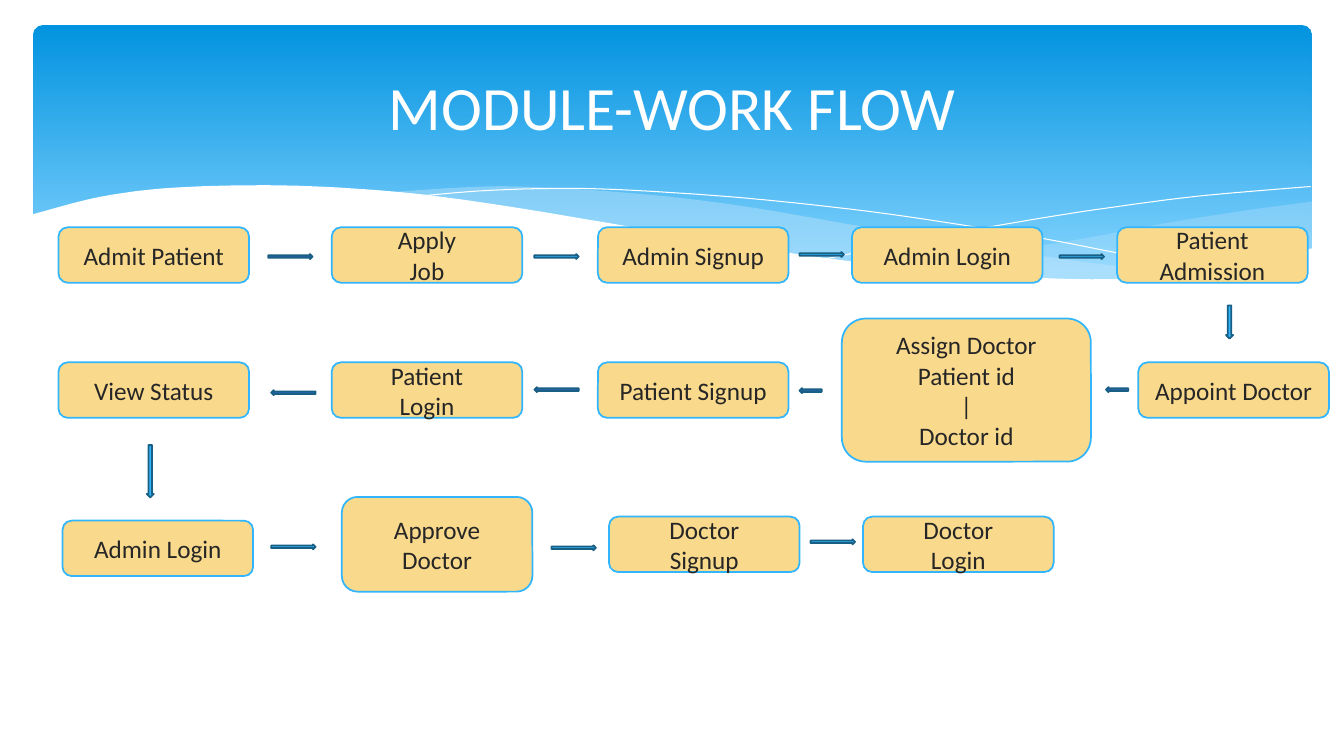
"""Build the module work flow slide: a wave banner above a snaking chain of steps."""
from pptx import Presentation
from pptx.dml.color import RGBColor
from pptx.enum.shapes import MSO_SHAPE
from pptx.enum.text import MSO_ANCHOR, PP_ALIGN
from pptx.oxml.ns import qn
from pptx.util import Inches, Pt
from lxml import etree

WHITE, INK = "FFFFFF", "262626"
SKY, PALE_SKY, DEEP_SKY, MIST = "31B6FD", "83D3FE", "0293E0", "C6E7FC"
SAND, NAVY, TEAL = "F9D98C", "2862AA", "195F84"


def rgb(hex_colour):
    """Turn a hex string into a colour."""
    return RGBColor.from_string(hex_colour)


def write(shape, text, size=18, colour=INK):
    """Write centred lines of text into a shape."""
    frame = shape.text_frame
    frame.word_wrap = True
    frame.vertical_anchor = MSO_ANCHOR.MIDDLE
    frame.text = text
    for paragraph in frame.paragraphs:
        paragraph.alignment = PP_ALIGN.CENTER
        paragraph.font.name = "Calibri"
        paragraph.font.size = Pt(size)
        paragraph.font.color.rgb = rgb(colour)


prs = Presentation()
prs.slide_width, prs.slide_height = Inches(13.33), Inches(7.5)
shapes = prs.slides.add_slide(prs.slide_layouts[6]).shapes

banner = shapes.add_shape(MSO_SHAPE.ROUNDED_RECTANGLE, Inches(0.33), Inches(0.25),
                          Inches(12.68), Inches(2.7))
banner.adjustments[0] = 0.034
banner.shadow.inherit = False
banner.line.fill.background()
banner.fill.gradient()
banner.fill.gradient_angle = 270
for stop, position, colour in zip(banner.fill.gradient_stops, (0, 0.9), (DEEP_SKY, PALE_SKY)):
    stop.position = position
    stop.color.rgb = rgb(colour)

right_top = [(13.01, 2), (12.27, 2.1), (11.47, 2.23), (10.73, 2.37), (9.72, 2.53), (8.82, 2.65)]
right_bottom = [(8.82, 2.65), (9.76, 2.74), (10.71, 2.78), (11.51, 2.75), (12.28, 2.65),
                (13.01, 2.47)]
middle_top = [(11.9, 2.73), (10.76, 2.6), (9.41, 2.4), (8.39, 2.22), (7.4, 2.05), (6.52, 1.94),
              (5.6, 1.87), (4.82, 1.85), (3.82, 1.91)]
middle_bottom = [(3.82, 1.91), (4.83, 2.03), (5.99, 2.22), (7.06, 2.4), (8.02, 2.55),
                 (9.07, 2.68), (9.98, 2.76), (10.9, 2.78), (11.9, 2.73)]
falling_line = [(4.12, 1.95), (4.84, 1.89), (5.77, 1.87), (6.8, 1.92), (7.75, 2), (8.86, 2.13),
                (10.14, 2.33), (11.08, 2.51), (12.1, 2.72)]
rising_line = [(8.18, 2.57), (9.27, 2.35), (10.35, 2.16), (11.15, 2.04), (11.94, 1.94),
               (13, 1.85)]
white_crest = [(13.03, 2.46), (11.98, 2.69), (10.97, 2.77), (9.69, 2.72), (8.34, 2.58),
               (7.06, 2.39), (5.96, 2.2), (4.86, 2.02), (3.9, 1.9), (2.82, 1.84), (1.76, 1.86),
               (1.01, 1.95), (0.31, 2.13)]
white_floor = [(0.31, 3.29), (13.03, 3.29)]

waves = [
    ([right_top, right_bottom], MIST, 29),
    ([middle_top, middle_bottom], MIST, 40),
    ([falling_line], None, 100),
    ([rising_line], None, 100),
    ([white_crest, white_floor], WHITE, 100),
]
units_per_inch, pieces = 1000, 8
for edges, fill, opacity in waves:
    outline = []
    for knots in edges:
        padded = [knots[0], *knots, knots[-1]]
        outline.append(knots[0])
        for before, start, end, after in zip(padded, padded[1:], padded[2:], padded[3:]):
            for piece in range(1, pieces + 1):
                t = piece / pieces
                outline.append([
                    b + ((c - a) * t + (2 * a - 5 * b + 4 * c - d) * t ** 2
                         + (3 * b - a - 3 * c + d) * t ** 3) / 2
                    for a, b, c, d in zip(before, start, end, after)])
    outline = [(round(x * units_per_inch), round(y * units_per_inch)) for x, y in outline]
    builder = shapes.build_freeform(*outline[0], scale=Inches(1) / units_per_inch)
    builder.add_line_segments(outline[1:], close=fill is not None)
    wave = builder.convert_to_shape()
    wave.shadow.inherit = False
    if fill:
        wave.line.fill.background()
        wave.fill.solid()
        wave.fill.fore_color.rgb = rgb(fill)
        tint = wave._element.spPr.find(qn("a:solidFill"))[0]
        etree.SubElement(tint, qn("a:alpha")).set("val", str(opacity * 1000))
    else:
        wave.fill.background()
        wave.line.color.rgb = rgb(WHITE)
        wave.line.width = Pt(0)

title = shapes.add_textbox(Inches(0.67), Inches(0.37), Inches(12), Inches(1.37))
write(title, "MODULE-WORK FLOW", size=44, colour=WHITE)

usual_size = (1.89, 0.55)
assign_doctor = "Assign Doctor\nPatient id\n|\nDoctor id"
larger_sizes = {assign_doctor: (2.47, 1.42), "Approve Doctor": (1.89, 0.94)}
rows_by_middle = {
    2.53: [("Admit Patient", 0.58), ("Apply\nJob", 3.29), ("Admin Signup", 5.93),
           ("Admin Login", 8.45), ("Patient Admission", 11.08)],
    3.87: [("Appoint Doctor", 11.29), (assign_doctor, 8.35), ("Patient Signup", 5.93),
           ("Patient\nLogin", 3.29), ("View Status", 0.58)],
    5.44: [("Admin Login", 0.62)],
    5.4: [("Approve Doctor", 3.39), ("Doctor\nSignup", 6.04), ("Doctor\nLogin", 8.56)],
}
for middle, row in rows_by_middle.items():
    for label, left in row:
        width, height = larger_sizes.get(label, usual_size)
        step = shapes.add_shape(MSO_SHAPE.ROUNDED_RECTANGLE, Inches(left),
                                Inches(middle - height / 2), Inches(width), Inches(height))
        step.shadow.inherit = False
        step.fill.solid()
        step.fill.fore_color.rgb = rgb(SAND)
        step.line.color.rgb = rgb(SKY)
        step.line.width = Pt(1.25)
        write(step, label)

forward, down, back = 0, 90, 180
thickness = {forward: 0.05, down: 0.07, back: 0.05}
arrow_groups = [
    (forward, 0.44, NAVY, [(2.66, 2.52)]),
    (forward, 0.44, SKY, [(5.3, 2.52), (7.93, 2.5), (10.51, 2.52),
                          (2.69, 5.4), (5.47, 5.41), (8.04, 5.35)]),
    (down, 0.33, SKY, [(12.03, 3.16)]),
    (down, 0.52, SKY, [(1.23, 4.64)]),
    (back, 0.22, NAVY, [(10.97, 3.84), (7.93, 3.85)]),
    (back, 0.44, NAVY, [(5.3, 3.84), (2.69, 3.87)]),
]
for direction, length, fill, places in arrow_groups:
    for left, top in places:
        arrow = shapes.add_shape(MSO_SHAPE.RIGHT_ARROW, Inches(left), Inches(top),
                                 Inches(length), Inches(thickness[direction]))
        arrow.rotation = direction
        arrow.shadow.inherit = False
        arrow.fill.solid()
        arrow.fill.fore_color.rgb = rgb(fill)
        arrow.line.color.rgb = rgb(TEAL)
        arrow.line.width = Pt(1.25)

prs.save("out.pptx")
